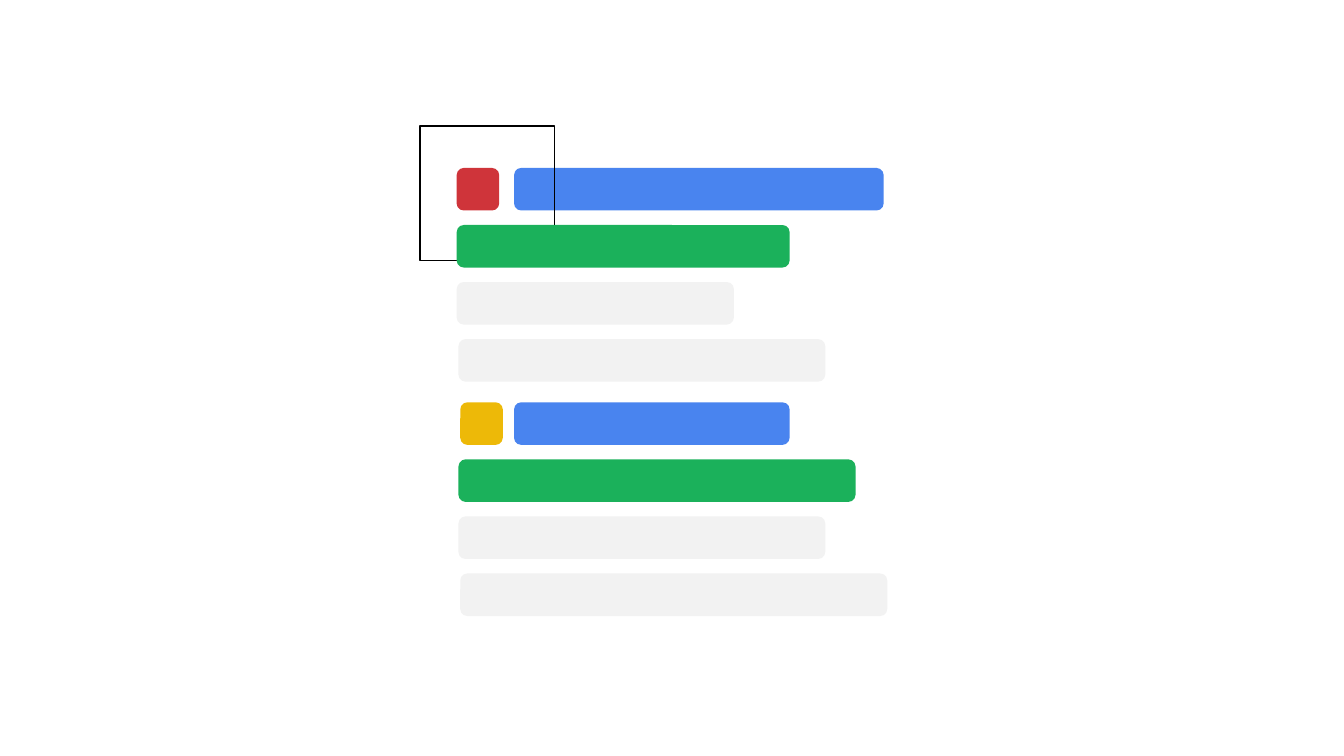
from pptx import Presentation
from pptx.dml.color import RGBColor
from pptx.enum.shapes import MSO_SHAPE as Preset
from pptx.util import Pt

BLUE = RGBColor(0x49, 0x84, 0xEF)
RED = RGBColor(0xCF, 0x34, 0x3A)
GREEN = RGBColor(0x1B, 0xB1, 0x5B)
YELLOW = RGBColor(0xED, 0xB9, 0x08)
GREY = RGBColor(0xF2, 0xF2, 0xF2)
BLACK = RGBColor(0, 0, 0)

BAR_HEIGHT = 30.4
ROW_PITCH = 40.75
HEADING_INDENT = 41
LINE_COLOURS = (GREEN, GREY, GREY)


def add_bar(page, left, top, width, colour):
    bar = page.shapes.add_shape(
        Preset.ROUNDED_RECTANGLE, Pt(left), Pt(top), Pt(width), Pt(BAR_HEIGHT))
    bar.shadow.inherit = False
    bar.fill.solid()
    bar.fill.fore_color.rgb = colour
    bar.line.fill.background()


def add_frame(page, left, top, size):
    frame = page.shapes.add_shape(
        Preset.RECTANGLE, Pt(left), Pt(top), Pt(size), Pt(size))
    frame.shadow.inherit = False
    frame.fill.background()
    frame.line.color.rgb = BLACK
    frame.line.width = Pt(1)


def add_heading(page, left, top, icon_shift, icon_colour, title_width):
    add_bar(page, left + HEADING_INDENT, top, title_width, BLUE)
    add_bar(page, left + icon_shift, top, BAR_HEIGHT, icon_colour)


def add_lines(page, left, top, lines):
    for row, ((shift, width), colour) in enumerate(zip(lines, LINE_COLOURS), 1):
        add_bar(page, left + shift, top + row * ROW_PITCH, width, colour)


deck = Presentation()
deck.slide_width, deck.slide_height = Pt(960), Pt(540)
page = deck.slides.add_slide(deck.slide_layouts[6])

LEFT, FIRST_TOP, SECOND_TOP = 326.2, 120, 287.4
add_heading(page, LEFT, FIRST_TOP, 0, RED, 264)
add_frame(page, 300, 90, 96)
add_lines(page, LEFT, FIRST_TOP, [(0, 237.8), (0, 198), (1.3, 262)])
add_heading(page, LEFT, SECOND_TOP, 2.6, YELLOW, 196.8)
add_lines(page, LEFT, SECOND_TOP, [(1.3, 283.6), (1.3, 262), (2.6, 305)])

deck.save("out.pptx")
